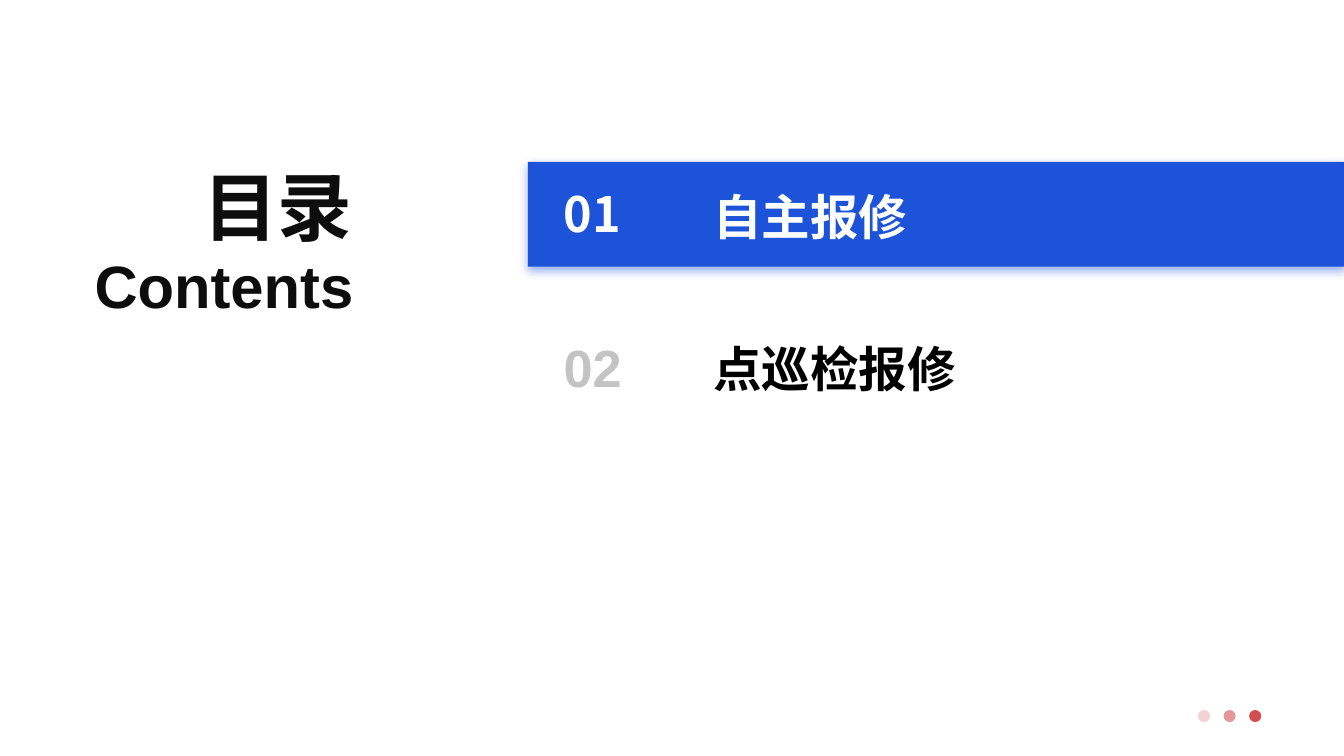
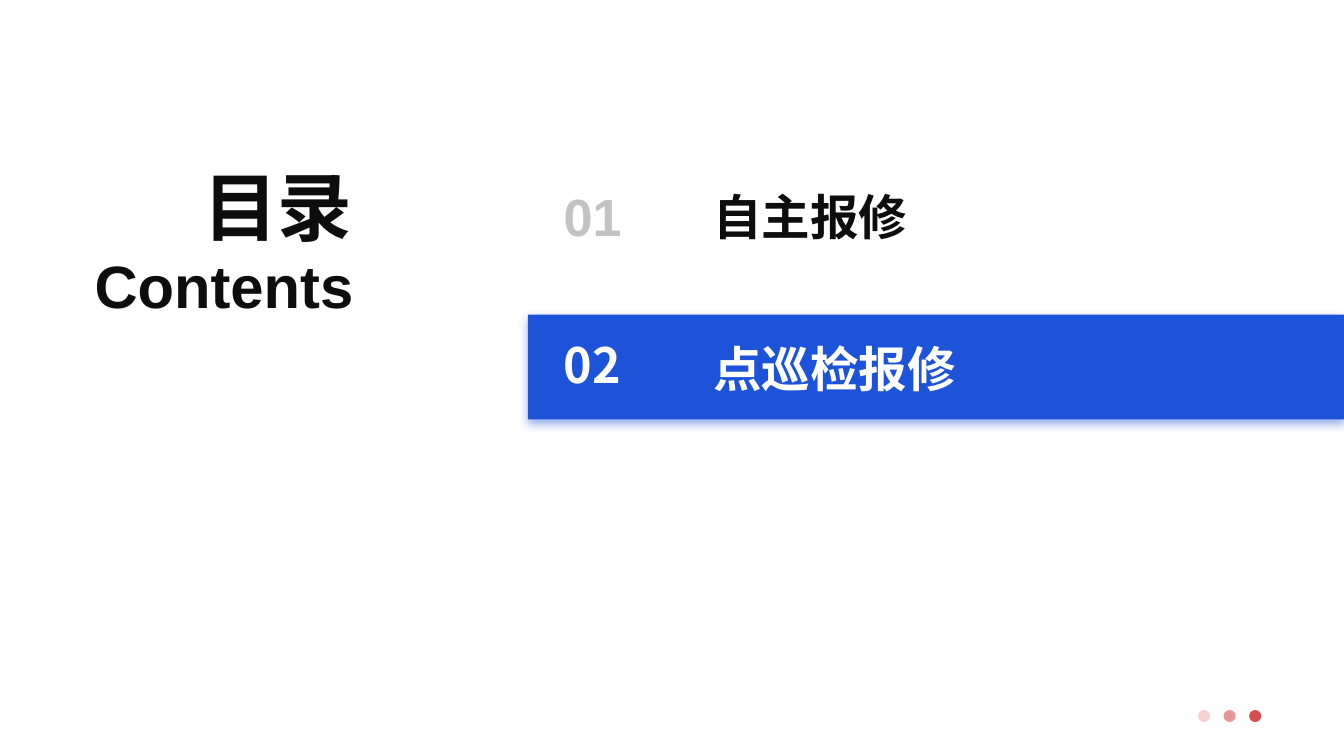
"""Build two agenda slides, each highlighting one chapter."""
import pptx
import pptx.dml.color
import pptx.enum.shapes
import pptx.enum.text
import pptx.oxml.ns
import pptx.util
from lxml import etree

CELL = 0.1
COLUMNS = 100
ROWS = COLUMNS * 9 / 16
BLUE, RED, INK, GREY = "1C53D9", "D44D51", "0D0D0D", "C3C3C3"
BLACK, WHITE = "000000", "FFFFFF"
LATIN, CHINESE = "Arial", "Noto Sans CJK SC"
CHAPTERS = [("自主报修", INK), ("点巡检报修", BLACK)]
BAND_TOP, BAND_PITCH = 12.05, 11.36
NUMBER_TOP, NUMBER_PITCH = 13.2, 11.23
CHAPTER_TOP = 13.4
CHAPTER_SIZE = 26
DOT_OPACITIES = [25, 59, 100]


def cells(count):
    return pptx.util.Inches(count * CELL)


def rgb(value):
    return pptx.dml.color.RGBColor.from_string(value)


def add_xml(parent, tag, **attributes):
    return etree.SubElement(parent, pptx.oxml.ns.qn(tag), attributes)


class Agenda:
    """Hold the deck style and draw on the current slide."""

    def __init__(self):
        self.deck = pptx.Presentation()
        self.deck.slide_width = cells(COLUMNS)
        self.deck.slide_height = cells(ROWS)
        self.slide = None

    def new_slide(self):
        self.slide = self.deck.slides.add_slide(self.deck.slide_layouts[6])
        self.slide.background.fill.solid()
        self.slide.background.fill.fore_color.rgb = rgb(WHITE)

    def block(self, shapes, kind, area, color):
        block = shapes.add_shape(kind, *map(cells, area))
        block.shadow.inherit = False
        block.fill.solid()
        block.fill.fore_color.rgb = rgb(color)
        block.line.fill.background()
        return block

    def band(self, row):
        area = 39.27, BAND_TOP + row * BAND_PITCH, 60.73, 7.8
        rectangle = pptx.enum.shapes.MSO_SHAPE.RECTANGLE
        band = self.block(self.slide.shapes, rectangle, area, BLUE)
        effects = band._element.spPr.find(pptx.oxml.ns.qn("a:effectLst"))
        shadow = add_xml(effects, "a:outerShdw", blurRad=str(pptx.util.Pt(5)),
                         dist=str(pptx.util.Pt(2)), dir="5400000",
                         algn="t", rotWithShape="0")
        tint = add_xml(shadow, "a:srgbClr", val=BLUE)
        add_xml(tint, "a:alpha", val="46000")

    def text(self, words, area, size, font, color, right=False, wrap=False):
        frame = self.slide.shapes.add_textbox(*map(cells, area)).text_frame
        frame.word_wrap = wrap
        frame.auto_size = pptx.enum.text.MSO_AUTO_SIZE.SHAPE_TO_FIT_TEXT
        paragraph = frame.paragraphs[0]
        paragraph.text = words
        if right:
            paragraph.alignment = pptx.enum.text.PP_ALIGN.RIGHT
        paragraph.font.size = pptx.util.Pt(size)
        paragraph.font.bold = True
        paragraph.font.color.rgb = rgb(color)
        paragraph.font.name = font
        defaults = paragraph._p.pPr.find(pptx.oxml.ns.qn("a:defRPr"))
        add_xml(defaults, "a:ea", typeface=font)

    def heading(self):
        self.text("目录", (14, 11.5, 13.2, 7.7), 40, CHINESE, INK, right=True)
        self.text("Contents", (5.9, 18, 21.4, 6.4), 32, LATIN, INK, right=True)

    def chapter(self, row, title, color, active):
        number = f"{row + 1:02}"
        top = NUMBER_TOP + row * NUMBER_PITCH
        if active:
            self.text(number, (40.95, top, 6.3, 5.7), CHAPTER_SIZE, CHINESE, WHITE)
        else:
            self.text(number, (40.95, top, 6.9, 5.7), 28, LATIN, GREY, wrap=True)
        width = len(title) * CHAPTER_SIZE / 72 / CELL + 2
        area = 52.07, CHAPTER_TOP + row * BAND_PITCH, width, 5.4
        self.text(title, area, CHAPTER_SIZE, CHINESE, WHITE if active else color)

    def dots(self):
        group = self.slide.shapes.add_group_shape()
        oval = pptx.enum.shapes.MSO_SHAPE.OVAL
        for place, opacity in reversed(list(enumerate(DOT_OPACITIES))):
            area = 89.14 + place * 1.9, 52.83, 0.9, 0.9
            dot = self.block(group.shapes, oval, area, RED)
            if opacity < 100:
                tint = dot._element.spPr.find(".//" + pptx.oxml.ns.qn("a:srgbClr"))
                add_xml(tint, "a:alpha", val=str(opacity * 1000))


def main():
    agenda = Agenda()
    for current in range(len(CHAPTERS)):
        agenda.new_slide()
        agenda.band(current)
        agenda.heading()
        for row, (title, color) in enumerate(CHAPTERS):
            agenda.chapter(row, title, color, row == current)
        agenda.dots()
    agenda.deck.save("out.pptx")


if __name__ == "__main__":
    main()
